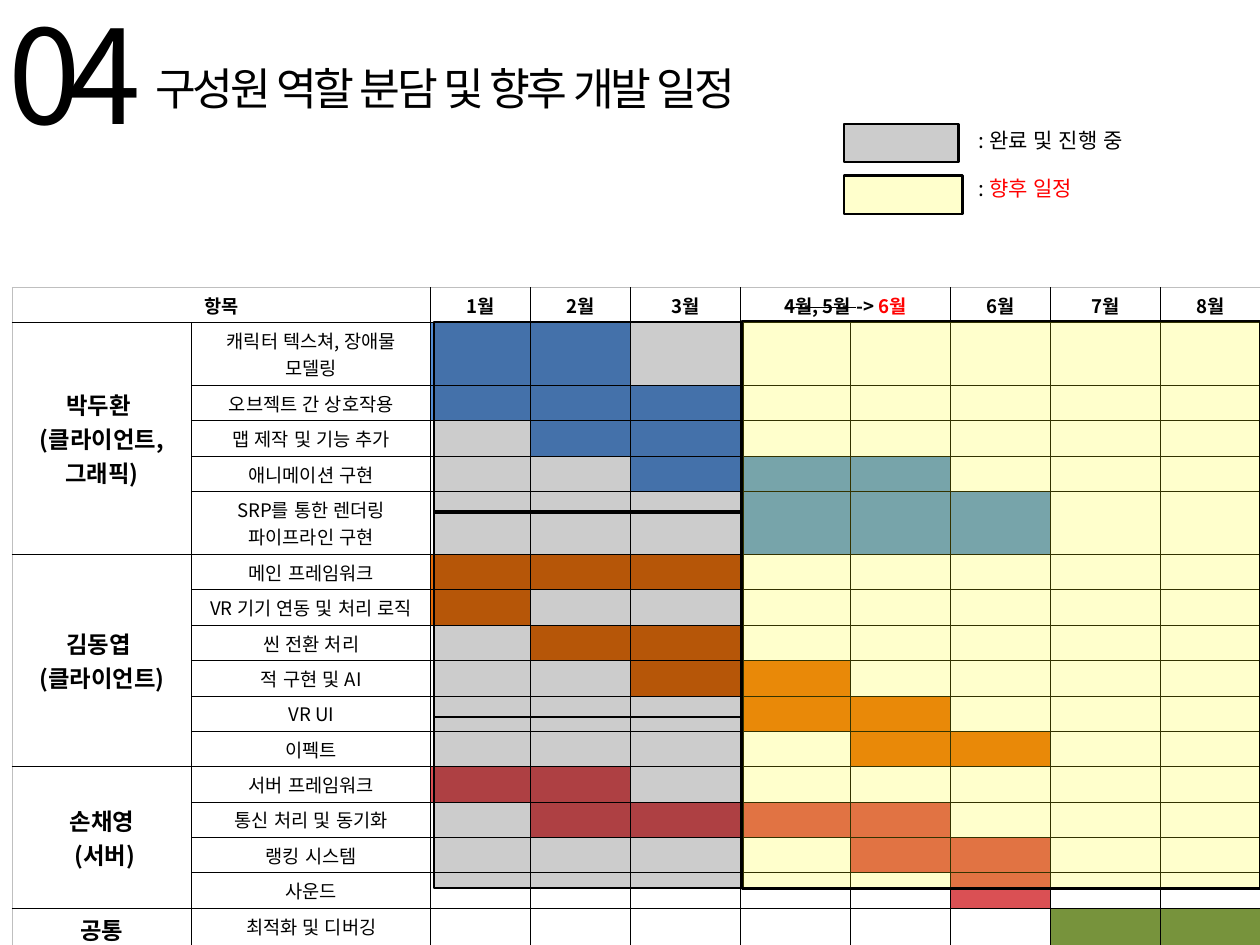
from lxml.etree import SubElement
from pptx import Presentation
from pptx.dml.color import RGBColor
from pptx.enum.shapes import MSO_SHAPE as SHAPE
from pptx.enum.text import MSO_ANCHOR as ANCHOR, PP_ALIGN as ALIGN
from pptx.oxml import parse_xml
from pptx.oxml.ns import nsdecls, qn
from pptx.util import Cm, Pt

FONT = "Noto Sans CJK KR"
BLACK, RED, YELLOW, GRAY = "000000", "FF0000", "FFFF00", "BFBFBF"
BLUE, ORANGE, ROSE, GREEN = "558ED5", "E46C0A", "DA5054", "77933C"

HEADER = {
    0: "항목", 2: "1월", 3: "2월", 4: "3월",
    5: [("4월, 5월 ", {"strike": True}), ("-> ", {}), ("6월", {"color": RED})],
    7: "6월", 8: "7월", 9: "8월",
}
MEMBERS = [
    (["박두환 ", "(클라이언트, 그래픽)"], BLUE, [
        ("캐릭터 텍스쳐, 장애물 모델링", 2, 3),
        ("오브젝트 간 상호작용", 2, 4),
        ("맵 제작 및 기능 추가", 3, 4),
        ("애니메이션 구현", 4, 6),
        ("SRP를 통한 렌더링 파이프라인 구현", 5, 7),
    ]),
    (["김동엽 ", "(클라이언트)"], ORANGE, [
        ("메인 프레임워크", 2, 4),
        ("VR 기기 연동 및 처리 로직", 2, 2),
        ("씬 전환 처리", 3, 4),
        ("적 구현 및 AI", 4, 5),
        ("VR UI", 5, 6),
        ("이펙트", 6, 7),
    ]),
    (["손채영", " (서버)"], ROSE, [
        ("서버 프레임워크", 2, 3),
        ("통신 처리 및 동기화", 3, 6),
        ("랭킹 시스템", 6, 7),
        ("사운드", 7, 7),
    ]),
    (["공통"], GREEN, [("최적화 및 디버깅", 8, 9)]),
]
COLS = [5.44, 7.22, 3.02, 3.02, 3.33, 3.33, 3.02, 3.02, 3.33, 3.02]
LINE, TWO_LINES, LAST = 1.07, 1.9, 1.28
ROWS = [LINE, TWO_LINES] + [LINE] * 3 + [TWO_LINES] + [LINE] * 10 + [LAST]
ZONES = [
    (13.13, 21.69, 9.32, 5.16, BLACK),
    (13.13, 15.47, 9.32, 6.22, BLACK),
    (13.13, 9.73, 9.32, 5.79, BLACK),
    (22.43, 9.7, 15.67, 17.17, YELLOW),
    (25.53, 5.31, 3.58, 1.17, YELLOW),
    (25.53, 3.76, 3.45, 1.14, BLACK),
]
LEGEND = [
    (3.73, ": 완료 및 진행 중"),
    (5.18, [(": ", {}), ("향후 일정", {"color": RED})]),
]


def rgb(color):
    return RGBColor.from_string(color)


def write_run(p, text, size=16, bold=False, color=BLACK, strike=False, spacing=0):
    r = p.add_run()
    r.text = text
    f = r.font
    f.size, f.bold, f.name = Pt(size), bold, FONT
    f.color.rgb = rgb(color)
    rpr = r._r.get_or_add_rPr()
    rpr.set("lang", "ko-KR")
    rpr.set("kern", "0")
    SubElement(rpr, qn("a:ea")).set("typeface", FONT)
    if strike:
        rpr.set("strike", "sngStrike")
    if spacing:
        rpr.set("spc", str(spacing * 100))


def write(tf, *lines, align=ALIGN.LEFT, **fmt):
    for i, line in enumerate(lines):
        p = tf.add_paragraph() if i else tf.paragraphs[0]
        p.alignment = align
        for text, extra in [(line, {})] if isinstance(line, str) else line:
            write_run(p, text, **{**fmt, **extra})


def add_text(s, x, y, w, h, line, **fmt):
    tf = s.shapes.add_textbox(Cm(x), Cm(y), Cm(w), Cm(h)).text_frame
    tf.word_wrap = True
    write(tf, line, **fmt)


def add_zone(s, x, y, w, h, color):
    sp = s.shapes.add_shape(SHAPE.RECTANGLE, Cm(x), Cm(y), Cm(w), Cm(h))
    sp.shadow.inherit = False
    sp.fill.solid()
    sp.fill.fore_color.rgb = rgb(color)
    clr = sp._element.spPr.find(qn("a:solidFill"))[0]
    SubElement(clr, qn("a:alpha")).set("val", "20000")
    sp.line.color.rgb = rgb(BLACK)
    sp.line.width = Pt(2)


def style_cell(cell, outer):
    cell.fill.background()
    tcpr = cell._tc.get_or_add_tcPr()
    for i, side in enumerate("LRTB"):
        color, width = (GRAY, Pt(0.5)) if side in outer else (BLACK, Pt(1))
        tcpr.insert(i, parse_xml(
            f'<a:ln{side} w="{width}" {nsdecls("a")}><a:solidFill>'
            f'<a:srgbClr val="{color}"/></a:solidFill></a:ln{side}>'))
    end = SubElement(cell.text_frame.paragraphs[0]._p, qn("a:endParaRPr"))
    end.set("sz", "1600")


def add_schedule(s):
    table = s.shapes.add_table(len(ROWS), len(COLS), Cm(0.36), Cm(8.69),
                               Cm(sum(COLS)), Cm(sum(ROWS))).table
    for col, w in zip(table.columns, COLS):
        col.width = Cm(w)
    for row, h in zip(table.rows, ROWS):
        row.height = Cm(h)
    for r in range(len(ROWS)):
        for c in range(len(COLS)):
            outer = ("T" if r == 0 else "") + ("L" if c == 0 else "")
            style_cell(table.cell(r, c), outer)
    for c in (0, 5):
        table.cell(0, c).merge(table.cell(0, c + 1))
    for c, line in HEADER.items():
        write(table.cell(0, c).text_frame, line, align=ALIGN.CENTER, bold=True)
    top = 1
    for name, color, tasks in MEMBERS:
        cell = table.cell(top, 0)
        if len(tasks) > 1:
            cell.merge(table.cell(top + len(tasks) - 1, 0))
        cell.vertical_anchor = ANCHOR.MIDDLE
        write(cell.text_frame, *name, align=ALIGN.CENTER, size=20, bold=True)
        for r, (task, first, last) in enumerate(tasks, top):
            write(table.cell(r, 1).text_frame, task, align=ALIGN.CENTER)
            for c in range(first, last + 1):
                fill = table.cell(r, c).fill
                fill.solid()
                fill.fore_color.rgb = rgb(color)
        top += len(tasks)


def main():
    prs = Presentation()
    prs.slide_width, prs.slide_height = Cm(38.1), Cm(28.58)
    s = prs.slides.add_slide(prs.slide_layouts[6])
    add_text(s, 4.45, 1.73, 19.69, 2.21, "구성원 역할 분담 및 향후 개발 일정",
             size=38, spacing=-3, align=ALIGN.JUSTIFY)
    add_text(s, 0, -0.3, 5.56, 6.27, "04",
             size=112, spacing=-10, align=ALIGN.JUSTIFY)
    add_schedule(s)
    for zone in ZONES:
        add_zone(s, *zone)
    for y, line in LEGEND:
        add_text(s, 29.34, y, 11.23, 1.02, line, size=18)
    prs.save("out.pptx")


if __name__ == "__main__":
    main()
